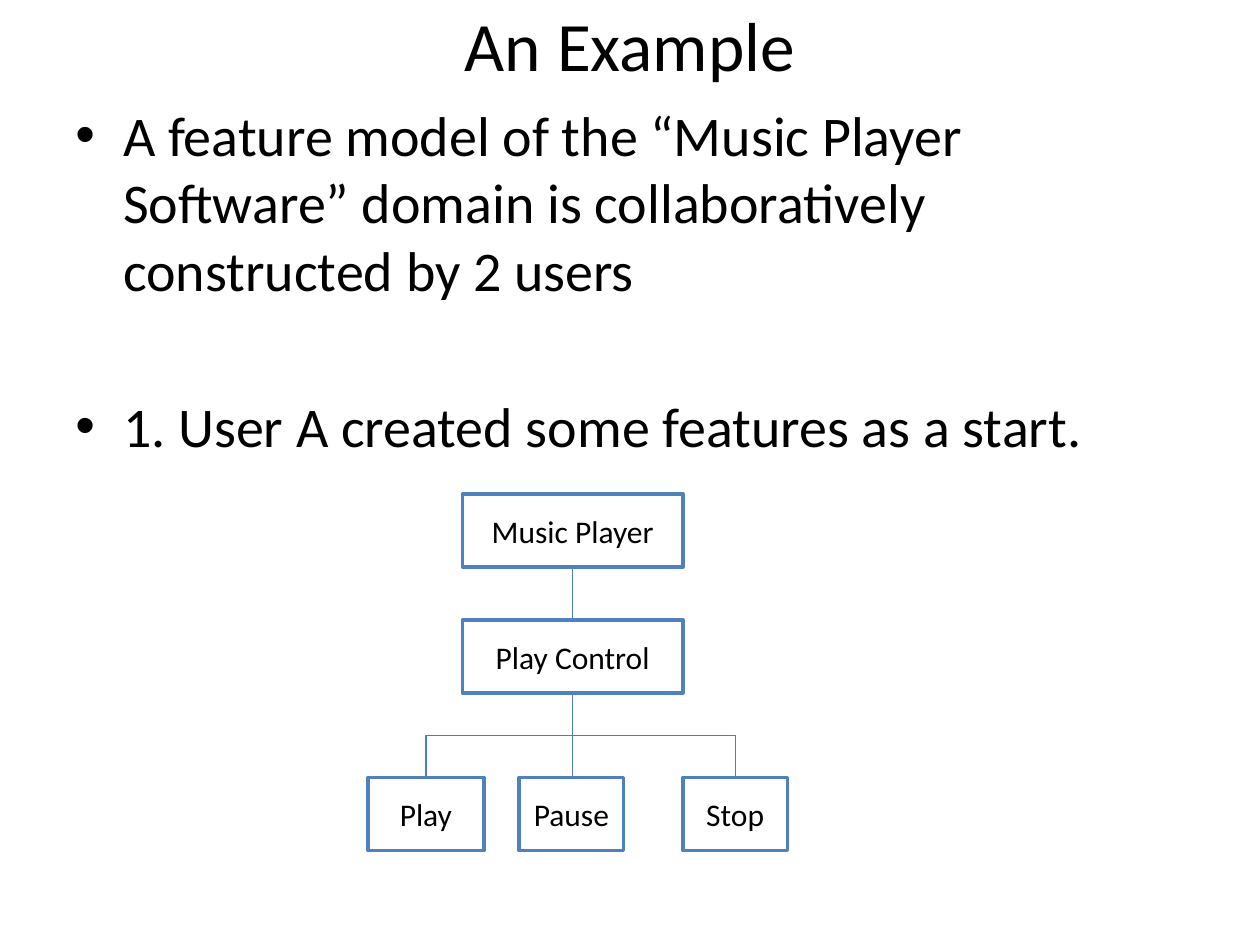
from dataclasses import dataclass
from lxml.etree import SubElement
from pptx import Presentation
from pptx.dml.color import RGBColor
from pptx.enum.shapes import MSO_CONNECTOR, MSO_SHAPE
from pptx.enum.text import MSO_ANCHOR, PP_ALIGN
from pptx.oxml.ns import qn
from pptx.util import Inches, Pt

BLACK, WHITE, BLUE, EDGE = "000000", "FFFFFF", "4F81BD", "4B7EBC"
HIGH = 0.58


@dataclass
class Node:
    text: str
    left: float
    top: float
    width: float

    @property
    def mid(self) -> float:
        return self.left + self.width / 2


def color(code: str) -> RGBColor:
    return RGBColor.from_string(code)


def write(para, text: str, size: float) -> None:
    run = para.add_run()
    run.text = text
    run.font.name = "Calibri"
    run.font.size = Pt(size)
    run.font.color.rgb = color(BLACK)


def place(shape, left: float, top: float, width: float, height: float) -> None:
    shape.left, shape.top = Inches(left), Inches(top)
    shape.width, shape.height = Inches(width), Inches(height)


def bullet(para, text: str, gap: float) -> None:
    para.space_before = Pt(gap)
    props = para._p.get_or_add_pPr()
    props.set("marL", str(Inches(0.38)))
    props.set("indent", str(Inches(-0.38)))
    SubElement(props, qn("a:buFont")).set("typeface", "Arial")
    SubElement(props, qn("a:buChar")).set("char", "•")
    write(para, text, 32)


def box(node: Node) -> None:
    shape = slide.shapes.add_shape(
        MSO_SHAPE.RECTANGLE, Inches(node.left), Inches(node.top),
        Inches(node.width), Inches(HIGH))
    shape.shadow.inherit = False
    shape.fill.solid()
    shape.fill.fore_color.rgb = color(WHITE)
    shape.line.color.rgb = color(BLUE)
    shape.line.width = Pt(2)
    frame = shape.text_frame
    frame.margin_left = frame.margin_right = 0
    frame.vertical_anchor = MSO_ANCHOR.MIDDLE
    frame.paragraphs[0].alignment = PP_ALIGN.CENTER
    write(frame.paragraphs[0], node.text, 18)


def link(top: Node, low: Node) -> None:
    start, end = top.top + HIGH, low.top
    shift = low.mid - top.mid
    if abs(shift) < 0.02:
        line = slide.shapes.add_connector(
            MSO_CONNECTOR.STRAIGHT, Inches(top.mid), Inches(start),
            Inches(top.mid), Inches(end))
    else:
        side = 1 if shift > 0 else -1
        half, rise = side * (end - start) / 2, abs(shift) / 2
        x, y = (top.mid + low.mid) / 2, (start + end) / 2
        line = slide.shapes.add_connector(
            MSO_CONNECTOR.ELBOW, Inches(x + half), Inches(y - rise),
            Inches(x - half), Inches(y + rise))
        turn = 270 if side > 0 else 90
        line._element.spPr.find(qn("a:xfrm")).set("rot", str(turn * 60000))
    line.line.color.rgb = color(EDGE)
    line.line.width = Pt(0.75)
    SubElement(line._element.spPr, qn("a:effectLst"))


deck = Presentation()
deck.slide_width, deck.slide_height = Inches(10), Inches(7.5)
slide = deck.slides.add_slide(deck.slide_layouts[5])

title = slide.shapes.title
place(title, 0.5, 0, 9, 0.7)
title.text_frame.vertical_anchor = MSO_ANCHOR.MIDDLE
title.text_frame.paragraphs[0].alignment = PP_ALIGN.CENTER
write(title.text_frame.paragraphs[0], "An Example", 39.6)

body = slide.shapes.add_textbox(
    Inches(0.5), Inches(0.75), Inches(9), Inches(3)).text_frame
body.word_wrap = True
bullet(body.paragraphs[0], "A feature model of the “Music Player Software” domain "
       "is collaboratively constructed by 2 users", 6.4)
bullet(body.add_paragraph(), "1. User A created some features as a start.", 51)

root = Node("Music Player", 3.67, 3.92, 1.75)
group = Node("Play Control", 3.67, 4.92, 1.75)
leaves = [Node(text, left, 6.17, width) for text, left, width in (
    ("Play", 2.92, 0.92), ("Pause", 4.12, 0.83), ("Stop", 5.42, 0.83))]

link(root, group)
for leaf in leaves:
    link(group, leaf)
for node in (root, group, *leaves):
    box(node)

deck.save("out.pptx")
